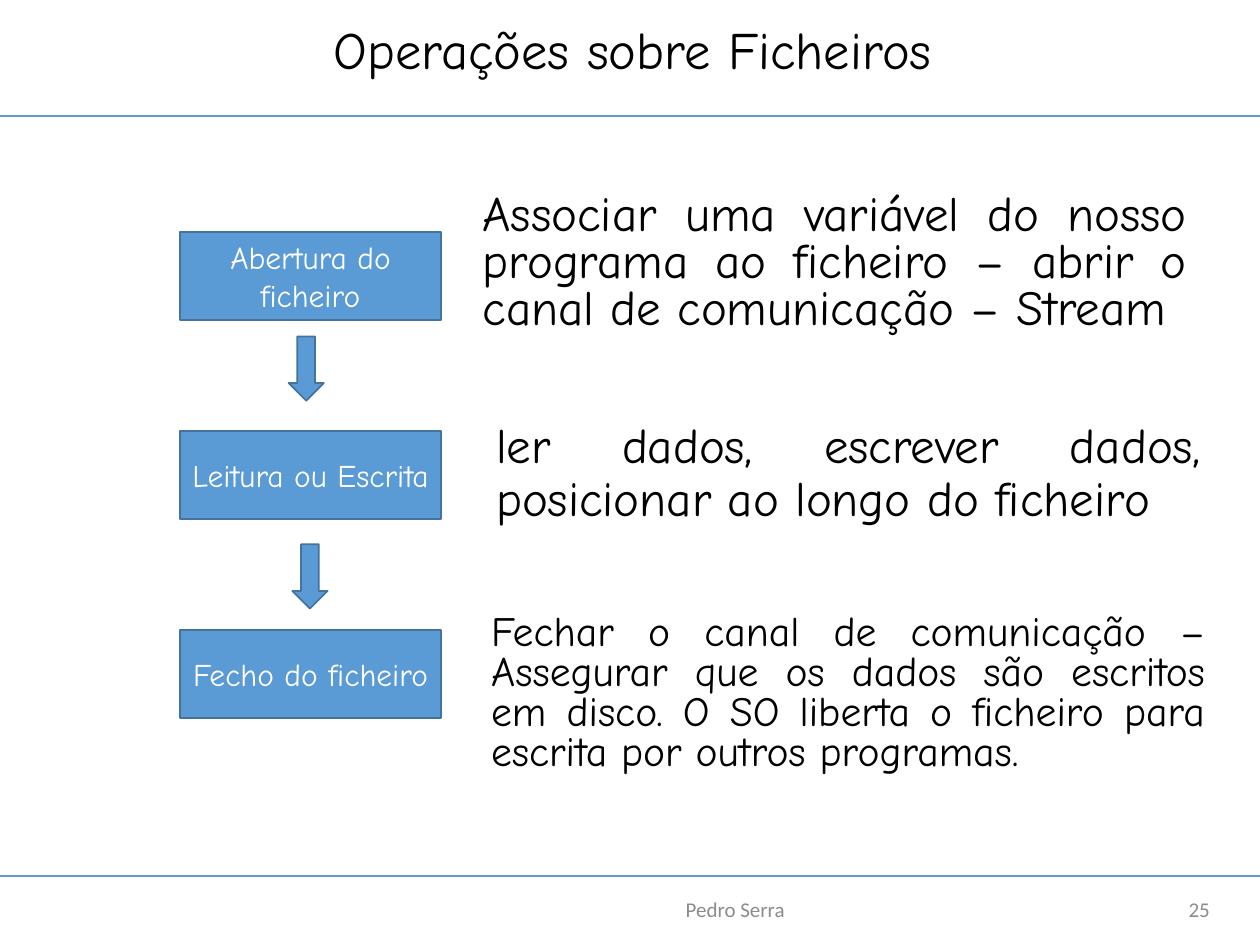
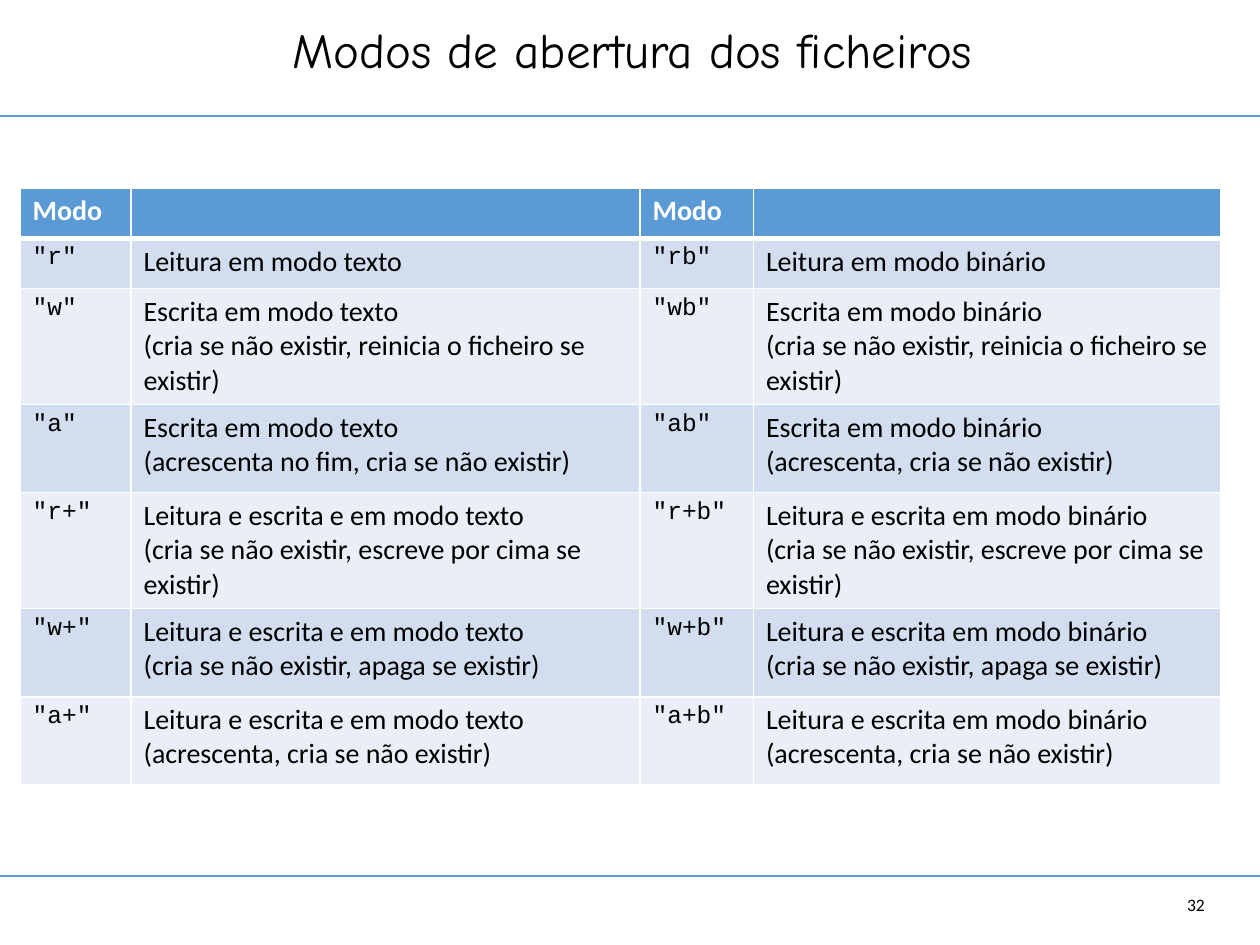
from lxml.etree import SubElement
from pptx import Presentation
from pptx.dml.color import RGBColor
from pptx.enum.shapes import MSO_CONNECTOR, MSO_SHAPE
from pptx.enum.text import MSO_ANCHOR as Anchor, MSO_AUTO_SIZE as AutoSize, PP_ALIGN as Align
from pptx.oxml.ns import qn
from pptx.util import Inches, Pt

BLUE, DARK_BLUE = "5B9BD5", "43739E"
BAND_DARK, BAND_LIGHT = "D2DEEF", "EAEFF7"
BLACK, WHITE, GREY = "000000", "FFFFFF", "8C8C8C"
HAND, PLAIN, CODE = "Comic Neue", "Calibri", "Courier New"
TITLE_BOX = (0.34, 0, 9.36, 0.84)
RULE_HEIGHTS = (0.92, 6.95)

STEP_LEFT, STEP_TOP, STEP_PITCH = 1.43, 1.84, 1.58
STEPS = ["Abertura do ficheiro", "Leitura ou Escrita", "Fecho do ficheiro"]
ARROW_SPOTS = [(2.29, 2.67), (2.32, 4.32)]
OPENING = ("Associar uma variável do nosso programa ao ficheiro – "
           "abrir o canal de comunicação – Stream")
ACCESS = "ler dados, escrever dados, posicionar ao longo do ficheiro"
CLOSING = ("Fechar o canal de comunicação – Assegurar que os dados são escritos em disco. "
           "O SO liberta o ficheiro para escrita por outros programas.")

COLUMN_WIDTHS = (0.88, 4.04, 0.9, 3.71)
ROW_HEIGHTS = (0.37, 0.4, 0.92, 0.7, 0.92, 0.7, 0.7)
MODES = [
    ("Modo", "", "Modo", ""),
    ('"r"', "Leitura em modo texto", '"rb"', "Leitura em modo binário"),
    ('"w"', "Escrita em modo texto\n(cria se não existir, reinicia o ficheiro se existir)",
     '"wb"', "Escrita em modo binário\n(cria se não existir, reinicia o ficheiro se existir)"),
    ('"a"', "Escrita em modo texto\n(acrescenta no fim, cria se não existir)",
     '"ab"', "Escrita em modo binário\n(acrescenta, cria se não existir)"),
    ('"r+"', "Leitura e escrita e em modo texto\n(cria se não existir, escreve por cima se existir)",
     '"r+b"', "Leitura e escrita em modo binário\n(cria se não existir, escreve por cima se existir)"),
    ('"w+"', "Leitura e escrita e em modo texto\n(cria se não existir, apaga se existir)",
     '"w+b"', "Leitura e escrita em modo binário\n(cria se não existir, apaga se existir)"),
    ('"a+"', "Leitura e escrita e em modo texto (acrescenta, cria se não existir)",
     '"a+b"', "Leitura e escrita em modo binário (acrescenta, cria se não existir)"),
]


def rgb(code):
    return RGBColor.from_string(code)


def inches(box):
    return [Inches(length) for length in box]


def write(frame, text, size=16, font=HAND, color=BLACK, bold=False,
          align=Align.LEFT, anchor=Anchor.TOP, spacing=None, before=None):
    """Fill a text frame, one paragraph per line of text."""
    frame.word_wrap = True
    frame.vertical_anchor = anchor
    for number, line in enumerate(text.split("\n")):
        paragraph = frame.add_paragraph() if number else frame.paragraphs[0]
        paragraph.alignment = align
        if spacing:
            paragraph.line_spacing = spacing
        if before is not None:
            paragraph.space_before = Pt(before)
        run = paragraph.add_run()
        run.text = line
        run.font.size, run.font.name, run.font.bold = Pt(size), font, bold
        run.font.color.rgb = rgb(color)


def move(placeholder, box):
    placeholder.left, placeholder.top, placeholder.width, placeholder.height = inches(box)
    placeholder.text_frame.auto_size = AutoSize.NONE


def add_text(slide, box, text, **style):
    write(slide.shapes.add_textbox(*inches(box)).text_frame, text, **style)


def add_master_rules(prs, slide):
    """Draw the two rules and hand them to the master, which all slides share."""
    for height in RULE_HEIGHTS:
        rule = slide.shapes.add_connector(
            MSO_CONNECTOR.STRAIGHT, *inches((0, height, 10, height)))
        rule.line.color.rgb, rule.line.width = rgb(BLUE), Pt(1.25)
        SubElement(rule.element.spPr, qn("a:effectLst"))
        prs.slide_master.shapes.element.append(rule.element)


def add_titled_slide(prs, layout, title, size):
    slide = prs.slides.add_slide(prs.slide_layouts[layout])
    move(slide.shapes.title, TITLE_BOX)
    write(slide.shapes.title.text_frame, title, size=size, align=Align.CENTER,
          anchor=Anchor.MIDDLE, spacing=0.9)
    return slide


def add_footer(slide, box, text, size, color, align):
    add_text(slide, box, text, size=size, font=PLAIN, color=color,
             align=align, anchor=Anchor.MIDDLE)


def add_block(slide, kind, box):
    block = slide.shapes.add_shape(kind, *inches(box))
    block.shadow.inherit = False
    block.fill.solid()
    block.fill.fore_color.rgb = rgb(BLUE)
    block.line.color.rgb, block.line.width = rgb(DARK_BLUE), Pt(1)
    return block


def add_step_flow(slide, left, top):
    for number, step in enumerate(STEPS):
        block = add_block(slide, MSO_SHAPE.RECTANGLE,
                          (left, top + number * STEP_PITCH, 2.07, 0.7))
        frame = block.text_frame
        frame.margin_left = frame.margin_right = Inches(0.08)
        write(frame, step, size=18, color=WHITE, align=Align.CENTER, anchor=Anchor.MIDDLE)
    for x, y in ARROW_SPOTS:
        add_block(slide, MSO_SHAPE.DOWN_ARROW, (x, y, 0.28, 0.51))


def add_explanations(slide):
    justified = dict(align=Align.JUSTIFY, before=10)
    body = slide.placeholders[1]
    move(body, (3.73, 1.49, 5.79, 1.29))
    write(body.text_frame, OPENING, size=28, spacing=0.8, **justified)
    properties = body.text_frame.paragraphs[0]._p.get_or_add_pPr()
    properties.set("marL", "0")
    properties.set("indent", "0")
    SubElement(properties, qn("a:buNone"))
    add_text(slide, (3.84, 3.29, 5.79, 1.29), ACCESS, size=28, spacing=0.9, **justified)
    add_text(slide, (3.8, 4.83, 5.86, 1.4), CLOSING, size=23.8, spacing=0.8, **justified)


def add_borders(cell, **widths):
    """Give the cell white borders; the keywords L, R, T and B are widths in points."""
    properties = cell._tc.get_or_add_tcPr()
    for side in "LRTB":
        border = SubElement(properties, qn(f"a:ln{side}"), w=str(Pt(widths.get(side, 1))))
        fill = SubElement(border, qn("a:solidFill"))
        SubElement(fill, qn("a:srgbClr"), val=WHITE)


def style_mode_cell(cell, text, row, column):
    header = row == 0
    add_borders(cell, T=3 if row == 1 else 1, B=3 if header else 1)
    cell.fill.solid()
    cell.fill.fore_color.rgb = rgb(BLUE if header else BAND_DARK if row % 2 else BAND_LIGHT)
    is_code = not header and column % 2 == 0
    write(cell.text_frame, text, size=14 if is_code else 16, font=CODE if is_code else PLAIN,
          color=WHITE if header else BLACK, bold=header)


def add_mode_table(slide, left, top):
    box = (left, top, sum(COLUMN_WIDTHS), sum(ROW_HEIGHTS))
    table = slide.shapes.add_table(len(MODES), len(COLUMN_WIDTHS), *inches(box)).table
    for column, width in zip(table.columns, COLUMN_WIDTHS):
        column.width = Inches(width)
    for row, (texts, height) in enumerate(zip(MODES, ROW_HEIGHTS)):
        table.rows[row].height = Inches(height)
        for column, text in enumerate(texts):
            style_mode_cell(table.cell(row, column), text, row, column)


def main():
    prs = Presentation()
    prs.slide_width, prs.slide_height = Inches(10), Inches(7.5)

    operations = add_titled_slide(prs, 1, "Operações sobre Ficheiros", 30)
    add_master_rules(prs, operations)
    add_footer(operations, (8.82, 7.08, 0.88, 0.27), "25", 12, GREY, Align.RIGHT)
    add_footer(operations, (2.94, 7.08, 5.79, 0.27), "Pedro Serra", 12, GREY, Align.CENTER)
    add_step_flow(operations, STEP_LEFT, STEP_TOP)
    add_explanations(operations)

    modes = add_titled_slide(prs, 5, "Modos de abertura dos ficheiros", 28)
    add_footer(modes, (8.86, 7.06, 0.8, 0.24), "32", 10, BLACK, Align.RIGHT)
    add_mode_table(modes, 0.16, 1.49)

    prs.save("out.pptx")


if __name__ == "__main__":
    main()
